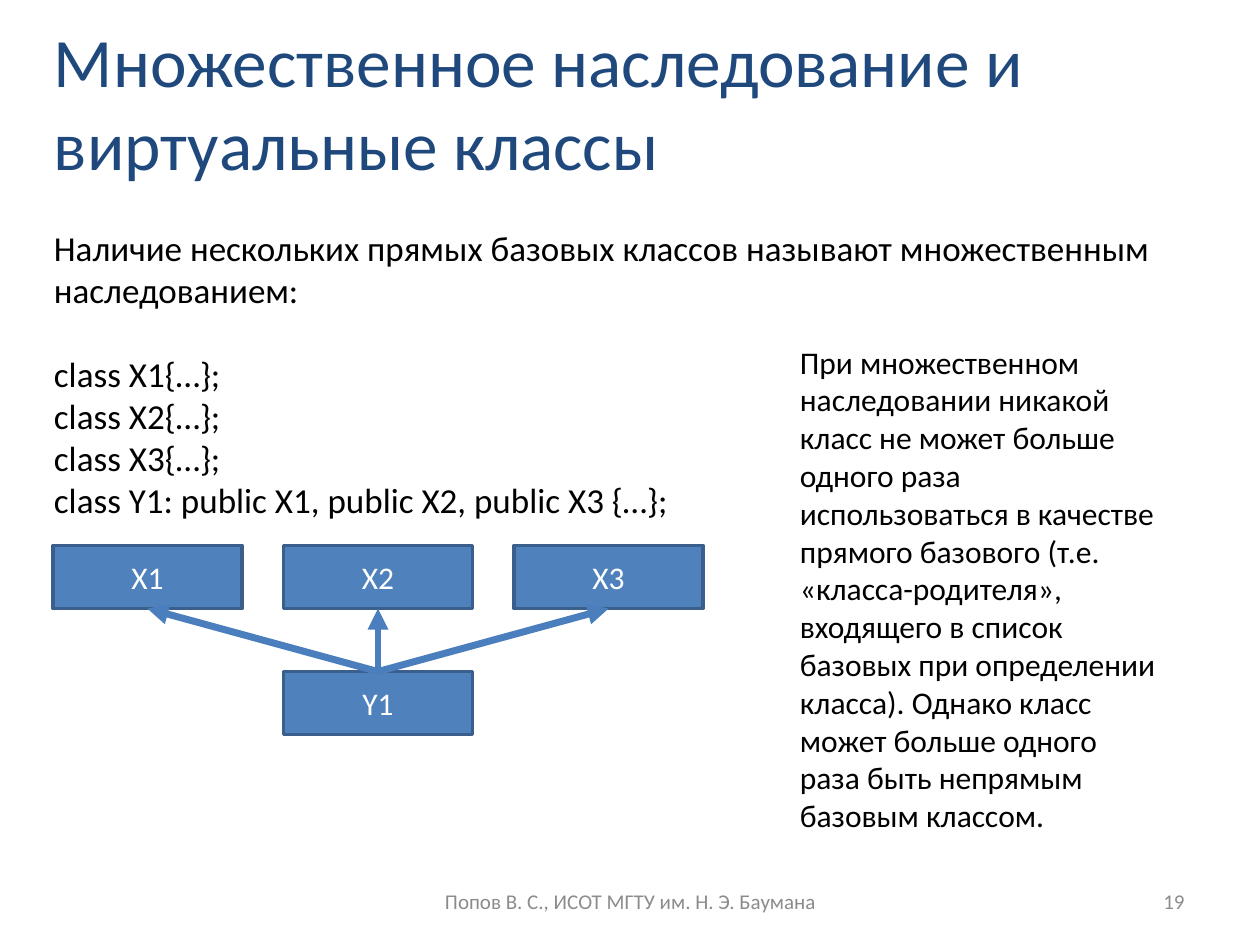
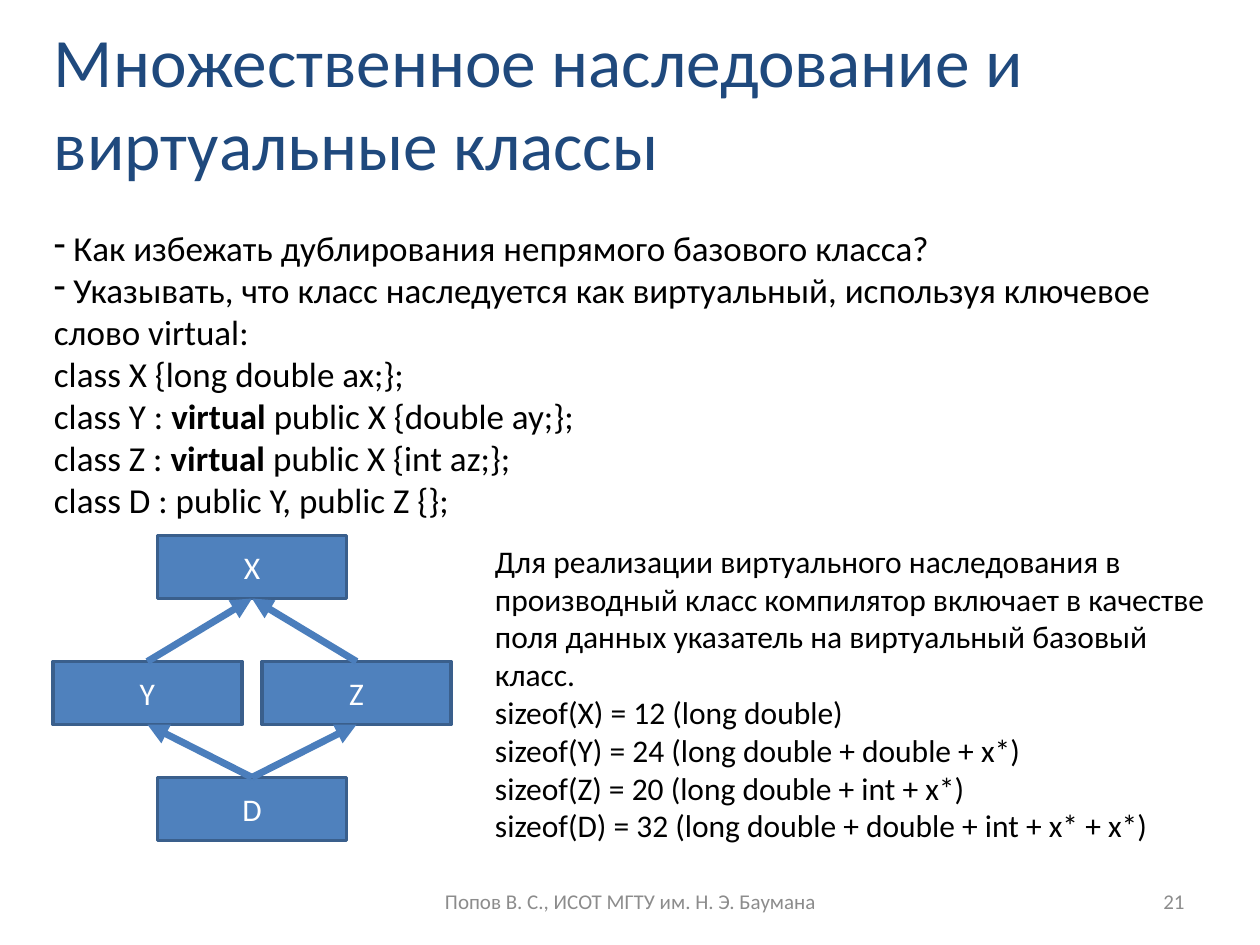
from lxml.etree import SubElement
from pptx import Presentation
from pptx.dml.color import RGBColor
from pptx.enum.shapes import MSO_CONNECTOR as Connector, MSO_SHAPE as Shape
from pptx.enum.text import MSO_ANCHOR as Anchor, PP_ALIGN as Align
from pptx.oxml.ns import qn
from pptx.util import Inches, Pt

COLORS = {
    "title": "1F497D", "text": "000000", "footer": "8C8C8C",
    "box": "4F81BD", "border": "3A5F8C", "arrow": "4B7EBC", "label": "FFFFFF",
}
FONT = "Calibri"
TITLE = "Множественное наследование и виртуальные классы"
FOOTER = "Попов В. С., ИСОТ МГТУ им. Н. Э. Баумана"
BOX_WIDTH, BOX_HEIGHT = 1.5, 0.5
TOP, BOTTOM = 0, 2


def color(name):
    return RGBColor.from_string(COLORS[name])


class Lecture:
    def __init__(self):
        self.deck = Presentation()
        self.deck.slide_width, self.deck.slide_height = Inches(10), Inches(7.5)
        self.page = None

    def add_page(self, number):
        self.page = self.deck.slides.add_slide(self.deck.slide_layouts[6])
        self.text([TITLE], 0.33, 0, 8.17, 1.61, 39.6, "title", anchor=Anchor.MIDDLE)
        self.text([FOOTER], 3.42, 6.95, 3.17, 0.4, 12, "footer", Align.CENTER, Anchor.MIDDLE)
        self.text([str(number)], 7.17, 6.95, 2.33, 0.4, 12, "footer", Align.RIGHT, Anchor.MIDDLE)

    def style(self, para, size, color_name, align):
        para.alignment = align
        para.font.name, para.font.size = FONT, Pt(size)
        para.font.color.rgb = color(color_name)

    def text(self, lines, left, top, width, height, size, color_name="text",
             align=Align.LEFT, anchor=Anchor.TOP):
        """Add one paragraph per line; **marks** set bold. Return the paragraphs."""
        box = self.page.shapes.add_textbox(Inches(left), Inches(top), Inches(width), Inches(height))
        frame = box.text_frame
        frame.word_wrap, frame.vertical_anchor = True, anchor
        for index, line in enumerate(lines):
            para = frame.add_paragraph() if index else frame.paragraphs[0]
            self.style(para, size, color_name, align)
            for part, words in enumerate(line.split("**")):
                span = para.add_run()
                span.text = words
                if part % 2:
                    span.font.bold = True
        return frame.paragraphs

    def dash(self, para):
        """Give the paragraph a dash bullet without a hanging indent."""
        properties = para._p.get_or_add_pPr()
        properties.set("marL", "0")
        properties.set("indent", "0")
        SubElement(properties, qn("a:buChar"), char="-")

    def class_box(self, name, left, top):
        box = self.page.shapes.add_shape(Shape.RECTANGLE, Inches(left), Inches(top),
                                         Inches(BOX_WIDTH), Inches(BOX_HEIGHT))
        box.shadow.inherit = False
        box.fill.solid()
        box.fill.fore_color.rgb = color("box")
        box.line.color.rgb, box.line.width = color("border"), Pt(2)
        box.text_frame.vertical_anchor = Anchor.MIDDLE
        para = box.text_frame.paragraphs[0]
        para.text = name
        self.style(para, 18, "label", Align.CENTER)
        return box

    def inherit(self, derived, base):
        """Draw an arrow from the derived class up to its base."""
        arrow = self.page.shapes.add_connector(Connector.STRAIGHT, 0, 0, 0, 0)
        arrow.begin_connect(derived, TOP)
        arrow.end_connect(base, BOTTOM)
        arrow.line.color.rgb, arrow.line.width = color("arrow"), Pt(4)
        SubElement(arrow.line._get_or_add_ln(), qn("a:tailEnd"), type="triangle")
        SubElement(arrow._element.spPr, qn("a:effectLst"))

    def diagram(self, places, links):
        boxes = {name: self.class_box(name, *place) for name, place in places.items()}
        for derived, bases in links.items():
            for base in bases:
                self.inherit(boxes[derived], boxes[base])


def multiple_inheritance(lecture):
    lecture.add_page(19)
    paras = lecture.text([
        "Наличие нескольких прямых базовых классов называют множественным наследованием:",
        "class X1{…};",
        "class X2{…};",
        "class X3{…};",
        "class Y1: public X1, public X2, public X3 {…};",
    ], 0.33, 1.75, 9.33, 2.79, 20)
    paras[1].space_before = Pt(24)
    places = {f"X{i + 1}": (0.42 + 1.83 * i, 4.33) for i in range(3)}
    places["Y1"] = (2.25, 5.33)
    lecture.diagram(places, {"Y1": ["X1", "X2", "X3"]})
    lecture.text([
        "При множественном наследовании никакой класс не может больше одного раза "
        "использоваться в качестве прямого базового (т.е. «класса-родителя», входящего "
        "в список базовых при определении класса). Однако класс может больше одного "
        "раза быть непрямым базовым классом.",
    ], 6.25, 2.67, 3.08, 4.04, 18)


def virtual_inheritance(lecture):
    lecture.add_page(21)
    paras = lecture.text([
        " Как избежать дублирования непрямого базового класса?",
        " Указывать, что класс наследуется как виртуальный, используя ключевое слово virtual:",
        "class X {long double ax;};",
        "class Y : **virtual** public X {double ay;};",
        "class Z : **virtual** public X {int az;};",
        "class D : public Y, public Z {};",
    ], 0.33, 1.75, 9.33, 2.46, 20)
    for para in paras[:2]:
        lecture.dash(para)
    places = {"X": (1.25, 4.25), "Y": (0.42, 5.25), "Z": (2.08, 5.25), "D": (1.25, 6.17)}
    lecture.diagram(places, {"D": ["Y", "Z"], "Y": ["X"], "Z": ["X"]})
    lecture.text([
        "Для реализации виртуального наследования в производный класс компилятор "
        "включает в качестве поля данных указатель на виртуальный базовый класс.",
        "sizeof(X) = 12 (long double)",
        "sizeof(Y) = 24 (long double + double + x*)",
        "sizeof(Z) = 20 (long double + int + x*)",
        "sizeof(D) = 32 (long double + double + int + x* + x*)",
    ], 3.83, 4.25, 5.92, 2.52, 18)


def main():
    lecture = Lecture()
    multiple_inheritance(lecture)
    virtual_inheritance(lecture)
    lecture.deck.save("out.pptx")


if __name__ == "__main__":
    main()
